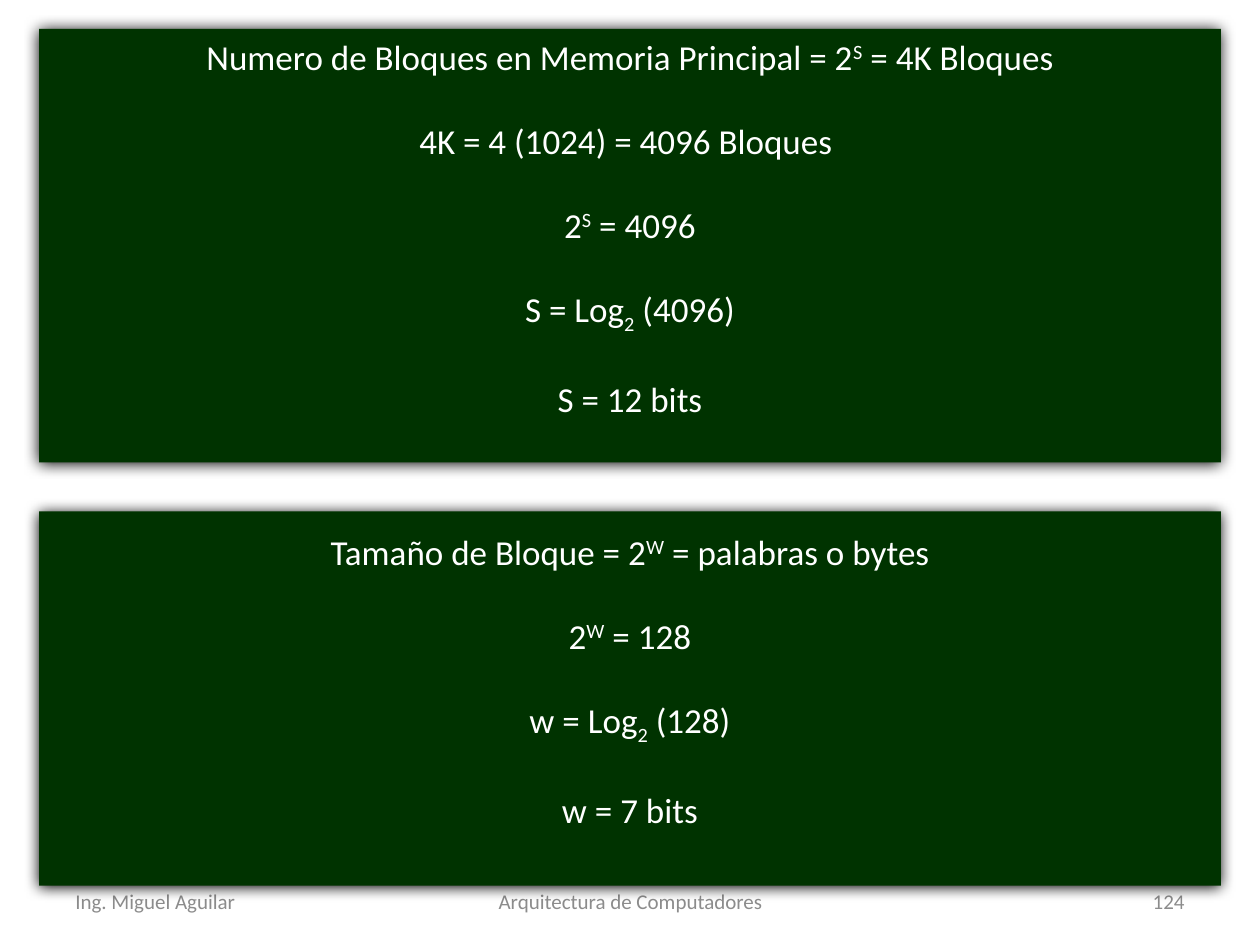
from lxml import etree
from pptx import Presentation
from pptx.dml.color import RGBColor
from pptx.enum.shapes import MSO_SHAPE
from pptx.enum.text import MSO_ANCHOR, PP_ALIGN
from pptx.oxml.ns import qn
from pptx.util import Inches, Pt

LEFT, CENTER, RIGHT = PP_ALIGN.LEFT, PP_ALIGN.CENTER, PP_ALIGN.RIGHT
TOP, MIDDLE = MSO_ANCHOR.TOP, MSO_ANCHOR.MIDDLE
RECTANGLE = MSO_SHAPE.RECTANGLE

THEME = {
    "font": "Calibri",
    "panel": RGBColor.from_string("003300"),
    "formula": RGBColor.from_string("FFFFFF"),
    "footer": RGBColor.from_string("8C8C8C"),
    "formula_size": 20,
    "footer_size": 12,
}
BASELINES = {"sup": "30000", "sub": "-25000"}

# Each line is a list of runs: plain text, or (text, "sup" / "sub")
BLOCK_COUNT = [
    ["Numero de Bloques en Memoria Principal = 2", ("S", "sup"), " = 4K Bloques"],
    ["4K = 4 (1024) = 4096 Bloques "],
    ["2", ("S", "sup"), " = 4096"],
    ["S = Log", ("2", "sub"), " (4096)"],
    ["S = 12 bits"],
]
BLOCK_SIZE = [
    ["Tamaño de Bloque = 2", ("W", "sup"), " = palabras o bytes"],
    ["2", ("W", "sup"), " = 128"],
    ["w = Log", ("2", "sub"), " (128)"],
    ["w = 7 bits"],
]
# top, height, inset above the first line, lines
PANELS = [(0.23, 3.44, 0.05, BLOCK_COUNT), (4.06, 2.97, 0.15, BLOCK_SIZE)]
PANEL_LEFT, PANEL_WIDTH = 0.31, 9.38

# left, width, alignment, text
FOOTERS = [
    (0.5, 2.33, LEFT, "Ing. Miguel Aguilar"),
    (3.42, 3.17, CENTER, "Arquitectura de Computadores"),
    (7.17, 2.33, RIGHT, "124"),
]
FOOTER_TOP, FOOTER_HEIGHT = 6.95, 0.4


def write(frame, lines, *, size, color, align, anchor, inset=0.05, gap=0):
    frame.word_wrap = True
    frame.vertical_anchor = anchor
    frame.margin_top = Inches(inset)
    for index, line in enumerate(lines):
        paragraph = frame.add_paragraph() if index else frame.paragraphs[0]
        paragraph.alignment = align
        if index:
            paragraph.space_before = Pt(gap)
        for part in line:
            text, script = (part, None) if isinstance(part, str) else part
            run = paragraph.add_run()
            run.text = text
            run.font.name = THEME["font"]
            run.font.size = Pt(size)
            run.font.color.rgb = color
            if script:
                run.font._element.set("baseline", BASELINES[script])


def add_glow_shadow(shape):
    effects = shape._element.spPr.find(qn("a:effectLst"))
    shadow = etree.SubElement(
        effects, qn("a:outerShdw"), blurRad=str(Pt(8.5)), dist=str(Pt(1)),
        dir="5400000", algn="t", rotWithShape="0")
    etree.SubElement(shadow, qn("a:srgbClr"), val="000000")


prs = Presentation()
prs.slide_width, prs.slide_height = Inches(10), Inches(7.5)
slide = prs.slides.add_slide(prs.slide_layouts[6])

# Footer row
for left, width, align, text in FOOTERS:
    footer = slide.shapes.add_textbox(
        Inches(left), Inches(FOOTER_TOP), Inches(width), Inches(FOOTER_HEIGHT))
    write(footer.text_frame, [[text]], size=THEME["footer_size"],
          color=THEME["footer"], align=align, anchor=MIDDLE)

# Formula panels
for top, height, inset, lines in PANELS:
    panel = slide.shapes.add_shape(
        RECTANGLE, Inches(PANEL_LEFT), Inches(top), Inches(PANEL_WIDTH), Inches(height))
    panel.fill.solid()
    panel.fill.fore_color.rgb = THEME["panel"]
    panel.line.fill.background()
    panel.shadow.inherit = False
    add_glow_shadow(panel)
    write(panel.text_frame, lines, size=THEME["formula_size"], color=THEME["formula"],
          align=CENTER, anchor=TOP, inset=inset, gap=24)

prs.save("out.pptx")
